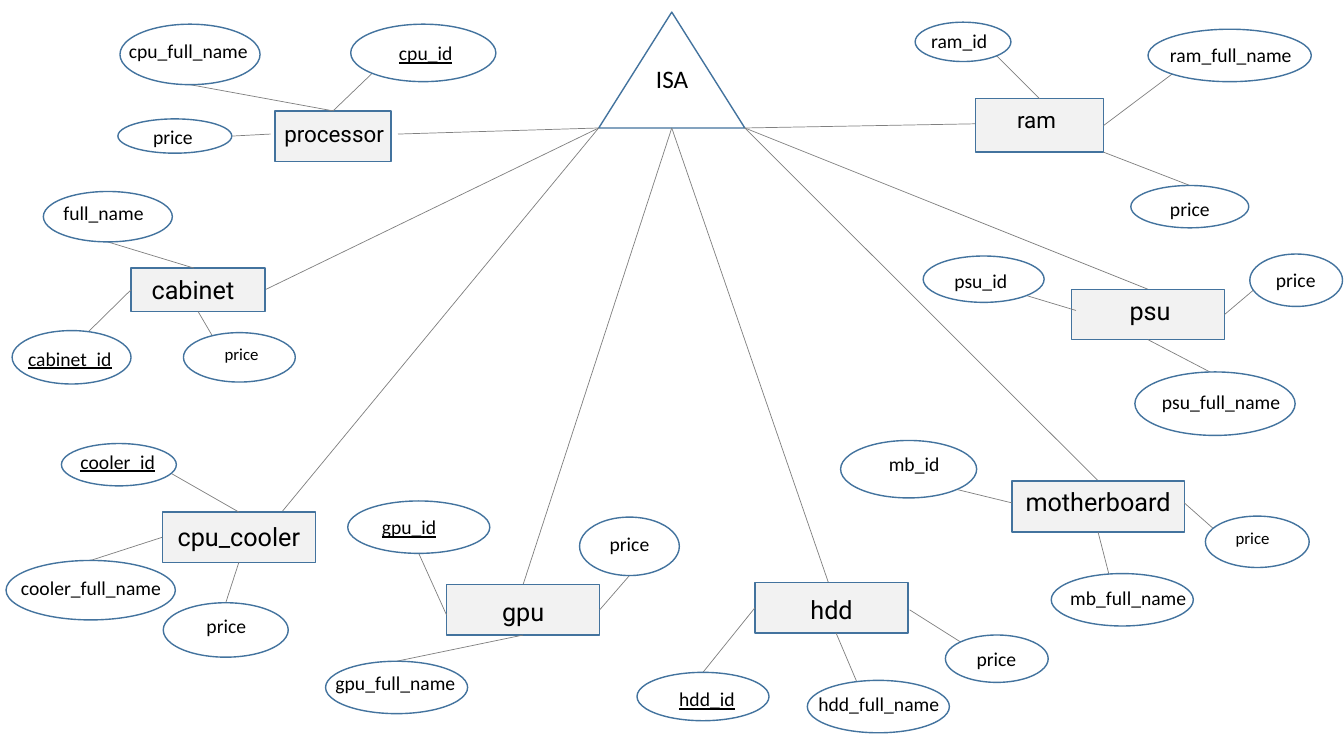
from dataclasses import dataclass
from lxml.etree import SubElement
from pptx import Presentation
from pptx.dml.color import RGBColor
from pptx.enum.shapes import MSO_CONNECTOR, MSO_SHAPE
from pptx.enum.text import PP_ALIGN
from pptx.oxml.ns import qn
from pptx.util import Cm, Pt


@dataclass(frozen=True)
class Theme:
    """Colours, fonts, type sizes and line widths of the diagram."""
    outline: RGBColor = RGBColor(0x43, 0x73, 0x9E)
    link: RGBColor = RGBColor(0x80, 0x80, 0x80)
    entity: RGBColor = RGBColor(0xF2, 0xF2, 0xF2)
    attribute: RGBColor = RGBColor(0xFF, 0xFF, 0xFF)
    ink: RGBColor = RGBColor(0, 0, 0)
    entity_font: str = "Roboto"
    attribute_font: str = "Calibri"
    large: int = 18
    medium: int = 16
    normal: int = 14
    small: int = 12
    outline_width: float = 1
    link_width: float = 0.5


@dataclass(frozen=True)
class Box:
    """Rectangle measured in inches, with points given as fractions of it."""
    left: float
    top: float
    width: float
    height: float

    def point(self, anchor):
        """Return the position of a fractional anchor."""
        return self.left + anchor[0] * self.width, self.top + anchor[1] * self.height

    def lengths(self):
        """Return the four sides as slide lengths."""
        return [length(side) for side in (self.left, self.top, self.width, self.height)]


@dataclass(frozen=True)
class Attribute:
    """Ellipse with its label offset and the two anchors of its link."""
    name: str
    box: Box
    offset: tuple
    entity_anchor: tuple
    own_anchor: tuple
    size: int = Theme.normal
    key: bool = False


@dataclass(frozen=True)
class Entity:
    """Rectangle with its label offset, its link to ISA and its attributes."""
    name: str
    box: Box
    offset: tuple
    isa_anchor: tuple
    own_anchor: tuple
    attributes: tuple
    size: int = Theme.large


THEME = Theme()
TOP, BOTTOM, LEFT, RIGHT = (0.5, 0), (0.5, 1), (0, 0.5), (1, 0.5)
NORTH_WEST, SOUTH_WEST, SOUTH_EAST = (0.15, 0.15), (0.15, 0.85), (0.85, 0.85)
CORNER_LEFT, CORNER_RIGHT = (0, 1), (1, 1)
ISA = Box(5.94, 0.12, 1.45, 1.15)

ENTITIES = (
    Entity("processor", Box(2.73, 1.1, 1.15, 0.5), (0.01, 0.04), CORNER_LEFT, (1.06, 0.46), (
        Attribute("cpu_full_name", Box(1.19, 0.24, 1.39, 0.6), (-0.01, 0.1), TOP, BOTTOM),
        Attribute("cpu_id", Box(3.48, 0.24, 1.44, 0.57), (0.38, 0.12), TOP, SOUTH_WEST, key=True),
        Attribute("price", Box(1.17, 1.18, 1.13, 0.34), (0.25, 0.01), (-0.04, 0.46), RIGHT),
    ), THEME.medium),
    Entity("ram", Box(9.68, 0.98, 1.27, 0.53), (-0.03, 0.02), CORNER_RIGHT, (0.88, 0.43), (
        Attribute("ram_id", Box(9.08, 0.22, 0.95, 0.39), (0.06, 0.02), TOP, SOUTH_EAST),
        Attribute("ram_full_name", Box(11.39, 0.29, 1.62, 0.52), (0.12, 0.09), RIGHT, SOUTH_WEST),
        Attribute("price", Box(11.22, 1.84, 1.17, 0.42), (0.29, 0.06), CORNER_RIGHT, TOP),
    ), THEME.medium),
    Entity("gpu", Box(4.43, 5.8, 1.52, 0.5), (0, 0.07), BOTTOM, TOP, (
        Attribute("price", Box(5.75, 5.13, 0.99, 0.58), (0.2, 0.1), RIGHT, BOTTOM),
        Attribute("gpu_id", Box(3.45, 4.97, 1.41, 0.52), (0.24, 0.09), (0, 0.6), BOTTOM, key=True),
        Attribute("gpu_full_name", Box(3.23, 6.56, 1.41, 0.52), (0, 0.05), BOTTOM, TOP),
    )),
    Entity("hdd", Box(7.49, 5.78, 1.52, 0.5), (0, 0.07), BOTTOM, (0.48, 0), (
        Attribute("price", Box(9.38, 6.3, 1.02, 0.47), (0.21, 0.07), (1.01, 0.54), NORTH_WEST),
        Attribute("hdd_full_name", Box(8.01, 6.75, 1.41, 0.52), (0.01, 0.07), (0.53, 1), BOTTOM),
        Attribute("hdd_id", Box(6.32, 6.67, 1.31, 0.48), (0.32, 0.1), LEFT, TOP, key=True),
    )),
    Entity("cpu_cooler", Box(1.61, 5.08, 1.52, 0.5), (0, 0.04), CORNER_LEFT, (0.78, 0), (
        Attribute("cooler_id", Box(0.61, 4.4, 1.14, 0.42), (0.09, 0.01), TOP, TOP, key=True),
        Attribute("cooler_full_name", Box(0.06, 5.56, 1.68, 0.59), (0.05, 0.1), LEFT, TOP),
        Attribute("price", Box(1.62, 5.98, 1.24, 0.54), (0.33, 0.06), BOTTOM, TOP),
    )),
    Entity("motherboard", Box(10.04, 4.77, 1.71, 0.51), (0, 0.01), CORNER_RIGHT, TOP, (
        Attribute("price", Box(11.96, 5.12, 1.03, 0.51), (0.2, 0.07), (1, 0.43), BOTTOM, THEME.small),
        Attribute("mb_id", Box(8.34, 4.37, 1.35, 0.57), (0.38, 0.06), (0, 0.43), SOUTH_EAST),
        Attribute("mb_full_name", Box(10.43, 5.69, 1.41, 0.52), (0.09, 0.07), BOTTOM, BOTTOM),
    )),
    Entity("cabinet", Box(1.3, 2.66, 1.33, 0.43), (-0.05, 0.01), CORNER_LEFT, RIGHT, (
        Attribute("full_name", Box(0.43, 1.9, 1.28, 0.5), (0.1, 0.04), (0.47, 0), BOTTOM),
        Attribute("cabinet_id", Box(0.12, 3.28, 1.18, 0.53), (0.06, 0.11), LEFT, (0.56, 0.2), key=True),
        Attribute("price", Box(1.82, 3.3, 1.11, 0.49), (0.31, 0.06), BOTTOM, BOTTOM, THEME.small),
    )),
    Entity("psu", Box(10.63, 2.87, 1.52, 0.5), (0.02, 0.01), CORNER_RIGHT, TOP, (
        Attribute("price", Box(12.4, 2.52, 0.92, 0.52), (0.16, 0.09), RIGHT, TOP),
        Attribute("psu_full_name", Box(11.26, 3.69, 1.59, 0.63), (0.17, 0.13), BOTTOM, (0.62, 0.2)),
        Attribute("psu_id", Box(9.16, 2.54, 1.2, 0.46), (0.21, 0.08), (0.03, 0.42), SOUTH_EAST),
    )),
)


def length(inches):
    """Convert inches to a slide length."""
    return Cm(inches * 2.54)


def add_link(page, start, end):
    """Draw a thin grey line between two points."""
    link = page.shapes.add_connector(MSO_CONNECTOR.STRAIGHT, *map(length, start + end))
    link.line.color.rgb = THEME.link
    link.line.width = Pt(THEME.link_width)
    SubElement(link._element.spPr, qn("a:effectLst"))


def add_outline(page, kind, box, fill):
    """Draw a filled shape with the common outline."""
    shape = page.shapes.add_shape(kind, *box.lengths())
    shape.shadow.inherit = False
    shape.fill.solid()
    shape.fill.fore_color.rgb = fill
    shape.line.color.rgb = THEME.outline
    shape.line.width = Pt(THEME.outline_width)


def add_label(page, text, box, font, size, align=PP_ALIGN.LEFT, underline=False):
    """Write one line of text in the given box."""
    frame = page.shapes.add_textbox(*box.lengths()).text_frame
    frame.word_wrap = True
    para = frame.paragraphs[0]
    para.alignment = align
    span = para.add_run()
    span.text = text
    span.font.name = font
    span.font.size = Pt(size)
    span.font.color.rgb = THEME.ink
    if underline:
        span.font.underline = True


def add_isa(page, box):
    """Draw the ISA triangle and its label."""
    add_outline(page, MSO_SHAPE.ISOSCELES_TRIANGLE, box, THEME.attribute)
    label = Box(box.left + 0.47, box.top + 0.46, 0.72, 0.4)
    add_label(page, "ISA", label, THEME.attribute_font, THEME.large)


def add_attribute(page, attribute, entity_box):
    """Draw an attribute ellipse linked to the box of its entity."""
    box = attribute.box
    add_link(page, entity_box.point(attribute.entity_anchor), box.point(attribute.own_anchor))
    add_outline(page, MSO_SHAPE.OVAL, box, THEME.attribute)
    label = Box(box.left + attribute.offset[0], box.top + attribute.offset[1],
                0.25 + 0.1 * len(attribute.name), 0.34)
    add_label(page, attribute.name, label, THEME.attribute_font, attribute.size,
              underline=attribute.key)


def add_entity(page, entity, isa_box):
    """Draw an entity, its link to the ISA box and its attributes."""
    box = entity.box
    add_link(page, isa_box.point(entity.isa_anchor), box.point(entity.own_anchor))
    add_outline(page, MSO_SHAPE.RECTANGLE, box, THEME.entity)
    label = Box(box.left + entity.offset[0] - 0.1, box.top + entity.offset[1], box.width + 0.2, 0.4)
    add_label(page, entity.name, label, THEME.entity_font, entity.size, PP_ALIGN.CENTER)
    for attribute in entity.attributes:
        add_attribute(page, attribute, box)


def main():
    """Build the entity diagram and save it."""
    deck = Presentation()
    deck.slide_width, deck.slide_height = Cm(33.87), Cm(19.05)
    page = deck.slides.add_slide(deck.slide_layouts[6])
    add_isa(page, ISA)
    for entity in ENTITIES:
        add_entity(page, entity, ISA)
    deck.save("out.pptx")


if __name__ == "__main__":
    main()
